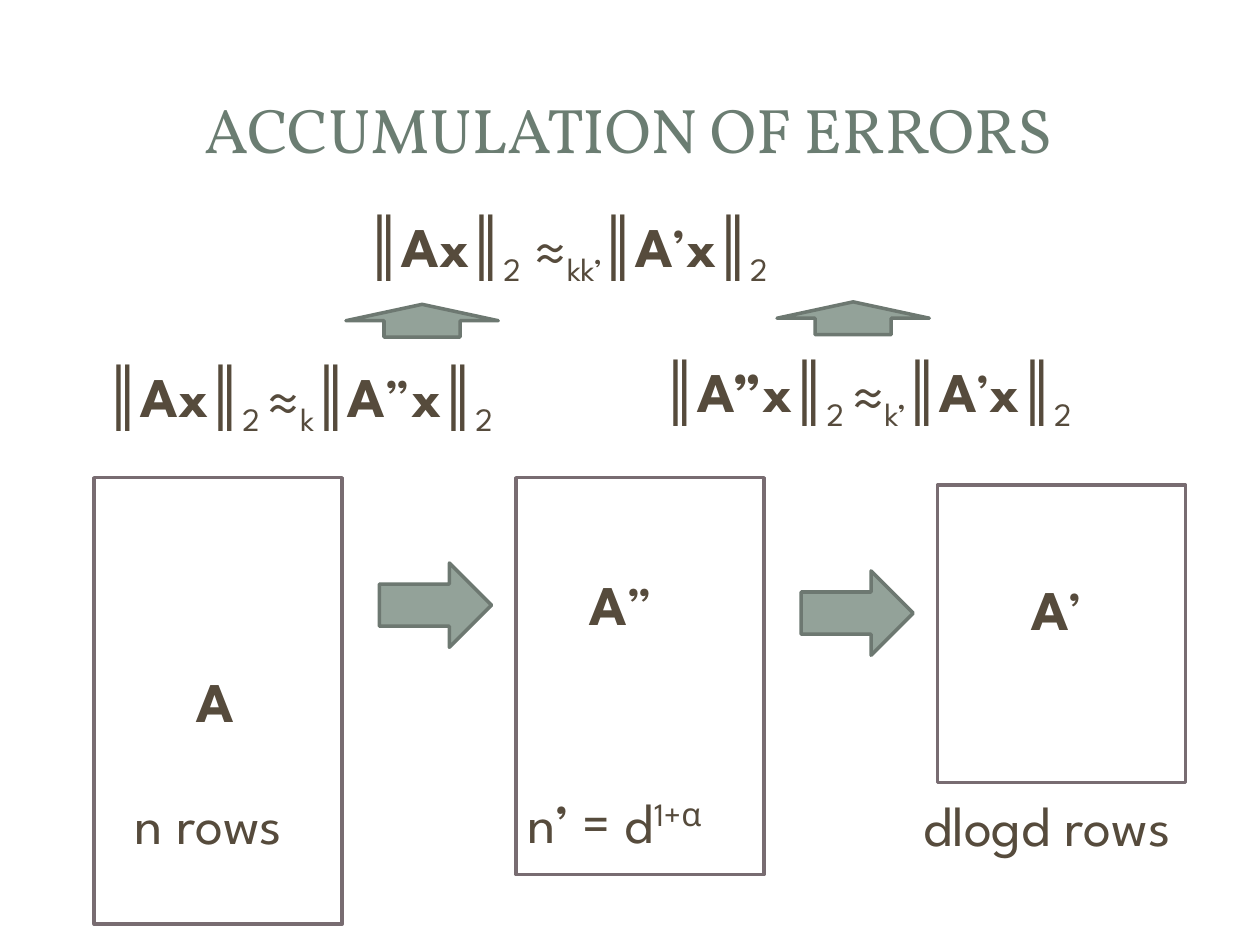
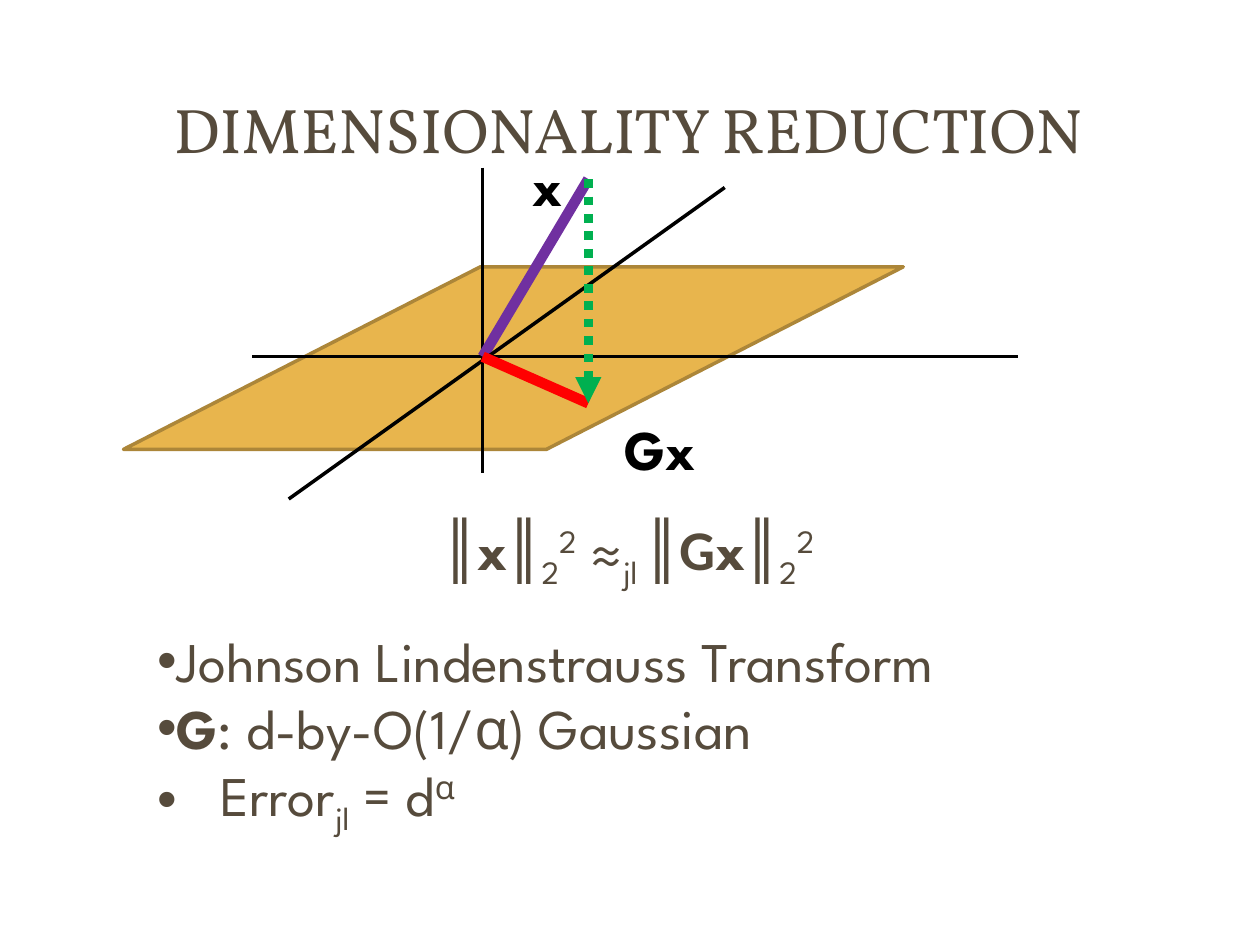
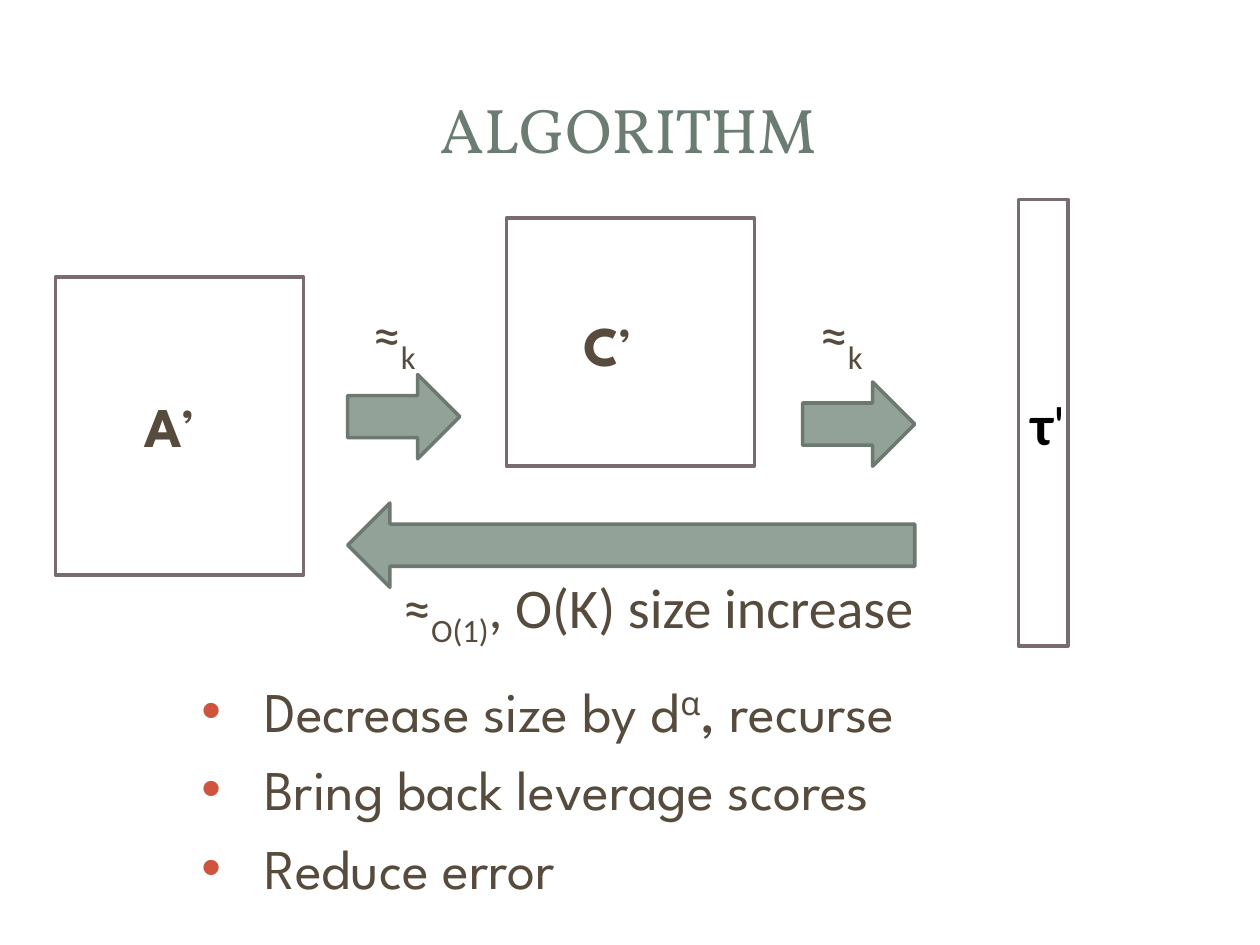
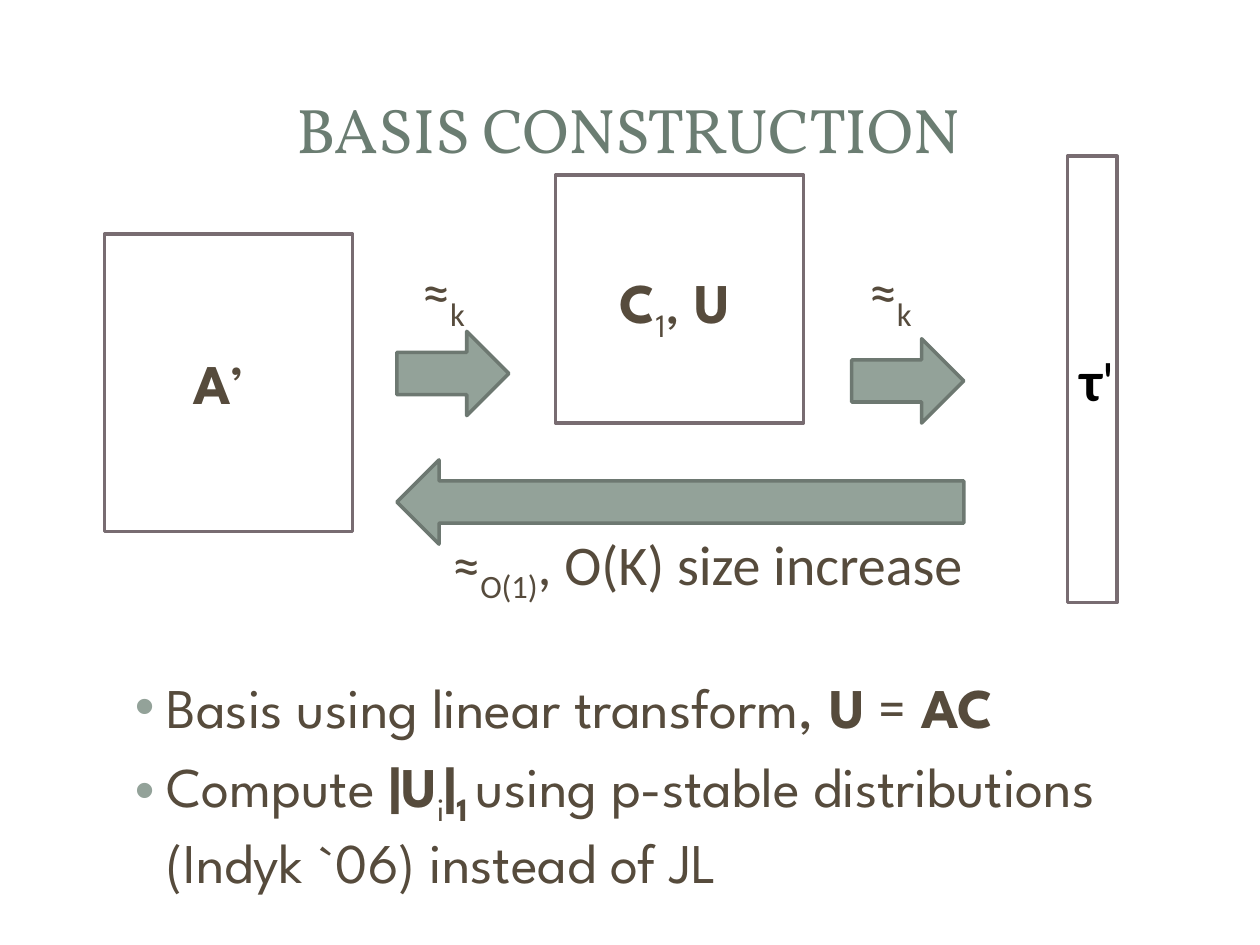
from dataclasses import dataclass

from lxml.etree import SubElement
from pptx import Presentation
from pptx.dml.color import RGBColor
from pptx.enum.dml import MSO_LINE
from pptx.enum.shapes import MSO_CONNECTOR, MSO_SHAPE
from pptx.enum.text import MSO_ANCHOR, MSO_AUTO_SIZE, PP_ALIGN
from pptx.oxml.ns import qn
from pptx.util import Cm, Pt


@dataclass(frozen=True)
class Theme:
    heading_font: str = "Vollkorn"
    body_font: str = "League Spartan"
    symbol_font: str = "Calibri"
    title_size: int = 36
    body_size: int = 32
    heading: str = "6B7D72"
    text: str = "564B3C"
    black: str = "000000"
    box_line: str = "786C71"
    arrow: str = "93A299"
    arrow_line: str = "6D7871"
    plane: str = "E8B54D"
    plane_line: str = "AC8639"
    vector: str = "7030A0"
    image: str = "FF0000"
    projection: str = "00B050"
    accent_bullet: str = "CF543F"


THEME = Theme()
LINE_HEIGHT = 1.63
MATRIX_WIDTH = 5
ARROW_SIZE = (2.26, 1.7)

# Span marks: b bold, c symbol font, _ subscript, ^ superscript
BASELINES = {"_": "-25000", "^": "30000"}
A_PRIME = [("A", "b"), ("’", "")]
APPROX_K = [("≈", "c"), ("k ", "c_")]


# Text
def set_all(target, values):
    for name, value in values.items():
        setattr(target, name, value)


def add_spans(para, spans, color=THEME.text, size=THEME.body_size, font=THEME.body_font):
    for text, marks in spans:
        span = para.add_run()
        span.text = text
        set_all(span.font, {
            "name": THEME.symbol_font if "c" in marks else font,
            "size": Pt(size),
            "bold": "b" in marks,
        })
        span.font.color.rgb = RGBColor.from_string(color)
        for mark, baseline in BASELINES.items():
            if mark in marks:
                span._r.get_or_add_rPr().set("baseline", baseline)


def add_text(page, left, top, width, spans, color=THEME.text):
    box = page.shapes.add_textbox(Cm(left), Cm(top), Cm(width), Cm(LINE_HEIGHT))
    set_all(box.text_frame, {"word_wrap": True, "auto_size": MSO_AUTO_SIZE.SHAPE_TO_FIT_TEXT})
    add_spans(box.text_frame.paragraphs[0], spans, color)


def add_bullets(page, place, items, bullet_color=THEME.text, space_before=0.0):
    """Each item is (level, left margin, first-line indent, spans)."""
    box = page.shapes.add_textbox(*map(Cm, place))
    frame = box.text_frame
    frame.word_wrap = True
    for number, (level, margin, indent, spans) in enumerate(items):
        para = frame.add_paragraph() if number else frame.paragraphs[0]
        set_all(para, {"level": level, "space_before": Pt(space_before)})
        add_spans(para, spans)
        properties = para._p.get_or_add_pPr()
        properties.set("marL", str(Cm(margin)))
        properties.set("indent", str(Cm(indent)))
        color = SubElement(properties, qn("a:buClr"))
        SubElement(color, qn("a:srgbClr"), val=bullet_color)
        SubElement(properties, qn("a:buFont"), typeface="Arial")
        SubElement(properties, qn("a:buChar"), char="•")


def norm(inner, *indices):
    """Spans of a vector norm, followed by its indices."""
    return [("║", "c"), *inner, ("║", "c"), *indices]


# Shapes and lines
def add_shape(page, kind, place, line, fill=None, rotation=0):
    shape = page.shapes.add_shape(kind, *map(Cm, place))
    shape.shadow.inherit = False
    shape.rotation = rotation
    if fill:
        shape.fill.solid()
        shape.fill.fore_color.rgb = RGBColor.from_string(fill)
    else:
        shape.fill.background()
    shape.line.color.rgb = RGBColor.from_string(line)
    shape.line.width = Pt(2)
    return shape


def add_matrix(page, left, top, height, width=MATRIX_WIDTH):
    add_shape(page, MSO_SHAPE.RECTANGLE, (left, top, width, height), THEME.box_line)


def add_arrow(page, left, top, size=ARROW_SIZE, rotation=0):
    add_shape(page, MSO_SHAPE.RIGHT_ARROW, (left, top, *size),
              THEME.arrow_line, THEME.arrow, rotation)


def add_line(page, start, end, color=THEME.black, width=2, dash=None, head=False):
    line = page.shapes.add_connector(MSO_CONNECTOR.STRAIGHT, *map(Cm, (*start, *end)))
    line.line.color.rgb = RGBColor.from_string(color)
    set_all(line.line, {"width": Pt(width), "dash_style": dash})
    properties = line._element.spPr
    if head:
        SubElement(properties.find(qn("a:ln")), qn("a:tailEnd"), type="triangle")
    SubElement(properties, qn("a:effectLst"))


def add_page(deck, title, color=THEME.heading):
    page = deck.slides.add_slide(deck.slide_layouts[5])
    box = page.shapes.title
    set_all(box, {"left": Cm(1.19), "top": Cm(1.14), "width": Cm(22.94), "height": Cm(2.9)})
    set_all(box.text_frame, {
        "word_wrap": True,
        "auto_size": MSO_AUTO_SIZE.NONE,
        "vertical_anchor": MSO_ANCHOR.MIDDLE,
    })
    para = box.text_frame.paragraphs[0]
    para.alignment = PP_ALIGN.CENTER
    add_spans(para, [(title, "")], color, THEME.title_size, THEME.heading_font)
    return page


# Diagram shared by the algorithm and basis pages, placed from the A’ box
def add_reduction_diagram(page, left, top, label_left, label_width, label):
    add_matrix(page, left, top, 6)
    add_matrix(page, left + 9.09, top - 1.19, MATRIX_WIDTH)
    add_matrix(page, left + 19.41, top - 1.57, 9, width=1)
    for arrow_left, arrow_top, sign_left in ((5.89, 1.96, 6.15), (15.06, 2.11, 15.16)):
        add_arrow(page, left + arrow_left, top + arrow_top)
        add_text(page, left + sign_left, top + 0.33, 1.6, APPROX_K)
    add_arrow(page, left + 5.89, top + 4.55, (11.43, 1.7), rotation=180)

    add_text(page, left + 1.55, top + 2.18, 2.29, A_PRIME)
    add_text(page, left + label_left, top + 0.54, label_width, label)
    add_text(page, left + 19.41, top + 2.13, 1.37, [("τ", "bc"), ("'", "c")], THEME.black)
    add_text(page, left + 6.76, top + 5.82, 11.66,
             [("≈", "c"), ("O(1)", "c_"), (", O(K) size increase", "c")])


# Pages
def add_errors_page(deck):
    page = add_page(deck, "ACCUMULATION OF ERRORS")
    for column, (top, height) in enumerate(((9.63, 9), (9.63, 8), (9.78, 6))):
        add_matrix(page, 1.9 + 8.5 * column, top, height)
    for column, top in enumerate((11.35, 11.51)):
        add_arrow(page, 7.65 + 8.5 * column, top)
    for left, top in ((8.18, 4.93), (16.87, 4.88)):
        add_arrow(page, left, top, (0.66, 3.07), rotation=270)

    bold_ax = [("Ax", "b")]
    a_prime_x = [*A_PRIME, ("x", "b")]
    a_second_x = [("A", "b"), ("”", ""), ("x", "b")]
    two = ("2", "_")
    texts = (
        (3.71, 13.31, 1.37, [("A", "b")]),
        (11.63, 11.35, 2.41, [("A", "b"), ("”", "")]),
        (20.55, 11.46, 1.88, A_PRIME),
        (2.46, 15.77, 4.04, [("n rows", "")]),
        (10.39, 15.75, 5.26, [("n’ = d", ""), ("1+α", "^")]),
        (18.36, 15.82, 6.71, [("dlogd rows", "")]),
        (1.9, 7.16, 10.36, norm(bold_ax, ("2 ", "_"), ("≈", ""), ("k", "_"))
         + norm(a_second_x, two)),
        (13.13, 7.06, 11, norm([("A”x", "b")], ("2 ", "_"), ("≈", ""), ("k’", "_"))
         + norm(a_prime_x, two)),
        (7.16, 4.14, 11.71, norm(bold_ax, two, (" ≈", ""), ("kk’", "_"))
         + norm(a_prime_x, two)),
    )
    for left, top, width, spans in texts:
        add_text(page, left, top, width, spans)


def add_reduction_page(deck):
    page = add_page(deck, "DIMENSIONALITY REDUCTION", THEME.text)
    plane = add_shape(page, MSO_SHAPE.PARALLELOGRAM, (2.49, 5.38, 15.72, 3.68),
                      THEME.plane_line, THEME.plane)
    plane.adjustments[0] = 1.955

    # Axes, vector and its projection
    origin, tip, foot = (9.73, 7.19), (11.86, 3.61), (11.86, 8.13)
    add_line(page, (5.08, origin[1]), (20.52, origin[1]))
    add_line(page, (origin[0], 3.38), (origin[0], 9.53))
    add_line(page, origin, tip, THEME.vector, 6)
    add_line(page, (5.82, 10.06), (14.61, 3.78))
    add_line(page, origin, foot, THEME.image, 6)
    add_line(page, tip, foot, THEME.projection, 5, MSO_LINE.ROUND_DOT, head=True)
    add_text(page, 10.49, 2.9, 1.37, [("x", "b")], THEME.black)
    add_text(page, 12.34, 8.23, 2.51, [("Gx", "b")], THEME.black)

    squared = (("2", "_"), ("2", "^"))
    add_text(page, 8.69, 10.24, 9.96,
             norm([("x", "b")], *squared, (" ≈", ""), ("jl ", "_"))
             + norm([("G", "bc"), ("x", "b")], *squared))
    add_bullets(page, (2.92, 12.5, 19.48, 4.65), (
        (0, 0.3, -1.27, [("Johnson Lindenstrauss Transform", "")]),
        (0, 0.3, -1.27, [("G", "b"), (": d-by-O(1/α) Gaussian", "")]),
        (1, 1.27, -1.27, [("Error", ""), ("jl", "_"), (" = d", ""), ("α", "^")]),
    ))


def add_algorithm_page(deck):
    page = add_page(deck, "ALGORITHM")
    add_reduction_diagram(page, 1.12, 5.59, 10.39, 2.41, [("C", "b"), ("’", "")])
    steps = (
        [("Decrease size by d", ""), ("α", "^"), (", recurse", "")],
        [("Bring back leverage scores", "")],
        [("Reduce error", "")],
    )
    add_bullets(page, (3.81, 13.51, 17.86, 4.7),
                [(1, 1.27, -1.27, step) for step in steps],
                THEME.accent_bullet, space_before=6.4)


def add_basis_page(deck):
    page = add_page(deck, "BASIS CONSTRUCTION")
    add_reduction_diagram(page, 2.11, 4.72, 10.13, 3.35,
                          [("C", "b"), ("1", "_"), (", ", ""), ("U", "b")])
    points = (
        [("Basis using linear transform, ", ""), ("U", "b"), (" = ", ""), ("AC", "b")],
        [("Compute ", ""), ("|U", "b"), ("i", "_"), ("|", "b"), ("1 ", "b_"),
         ("using p-stable distributions (Indyk `06) instead of JL", "")],
    )
    add_bullets(page, (2.16, 13.44, 21.97, 4.95),
                [(0, 0.95, -0.64, point) for point in points],
                THEME.arrow, space_before=6.4)


def main():
    deck = Presentation()
    set_all(deck, {"slide_width": Cm(25.4), "slide_height": Cm(19.05)})
    for add_content in (add_errors_page, add_reduction_page, add_algorithm_page, add_basis_page):
        add_content(deck)
    deck.save("out.pptx")


main()
